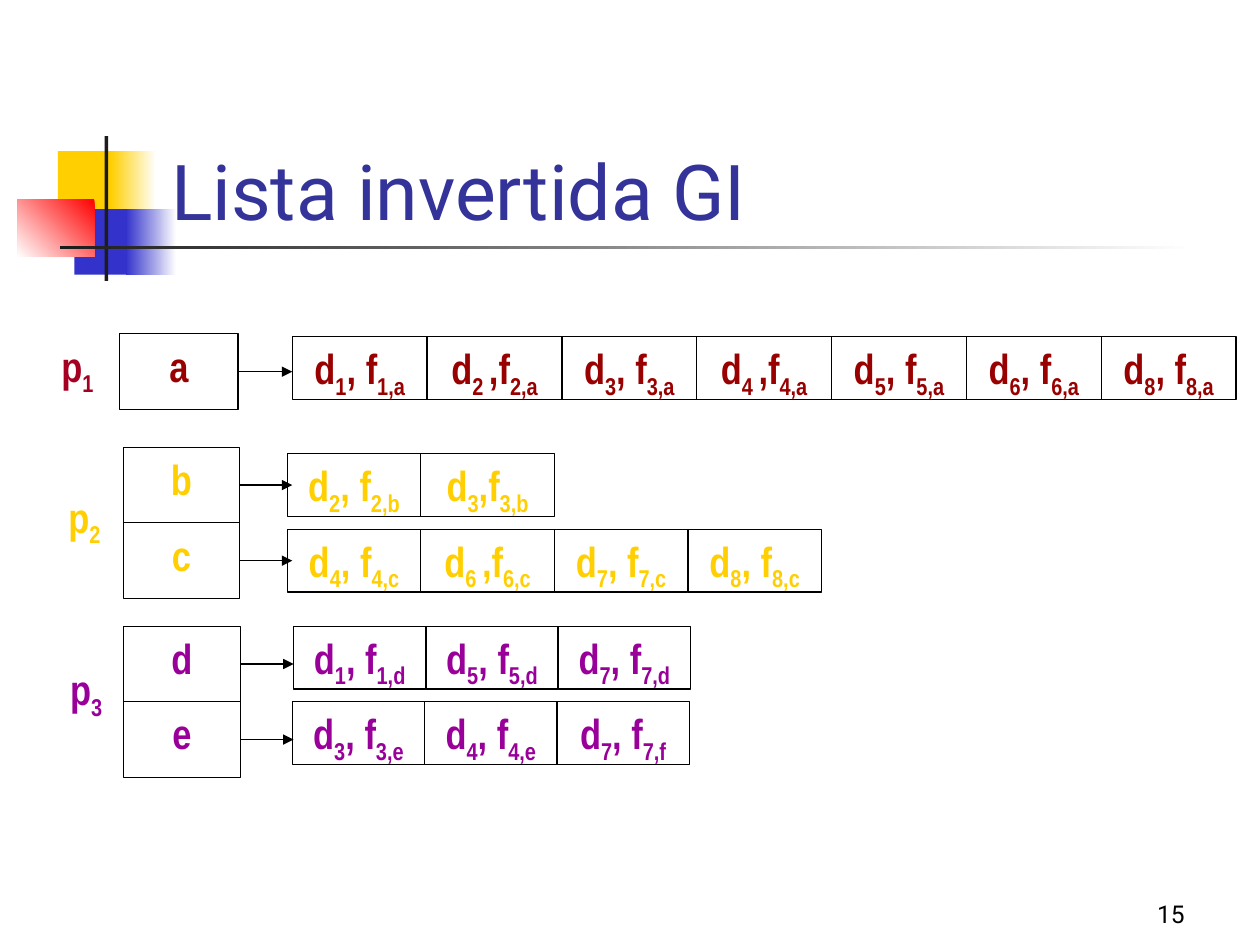
from pptx import Presentation
from pptx import util as u
from pptx.dml.color import RGBColor
from pptx.enum import shapes, text
from pptx.oxml.ns import qn
from lxml import etree

PX = 9144  # 100 px to the inch
COLORS = {
    "white": "FFFFFF", "black": "000000", "ink": "1C1C1C", "title": "333399",
    "gold": "FFCF01", "blue": "3333CC", "red": "FF0000",
    "crimson": "A50021", "maroon": "990000", "purple": "990099",
}
KEY_HEIGHT, CELL_HEIGHT = 60, 50

# Label: text, colour, left, top; keys: left, top, width; cells: width
# Rows: key, left and top of the cells, entries ("|" toggles subscript)
GROUPS = [
    {"label": ("p|1", "crimson", 33, 265, 57), "color": "maroon",
     "keys": (95, 265, 94), "cell_width": 107, "arrow_end": 232,
     "rows": [("a", 232, 267, ["d|1|, f|1,a", "d|2 |,f|2,a", "d|3|, f|3,a", "d|4 |,f|4,a",
                               "d|5|, f|5,a", "d|6|, f|6,a", "d|8|, f|8,a"])]},
    {"label": ("p|2", "gold", 40, 385, 54), "color": "gold",
     "keys": (98, 355, 92), "cell_width": 106, "arrow_end": 232,
     "rows": [("b", 228, 360, ["d|2|, f|2,b", "d|3|,f|3,b"]),
              ("c", 228, 420, ["d|4|, f|4,c", "d|6 |,f|6,c", "d|7|, f|7,c", "d|8|, f|8,c"])]},
    {"label": ("p|3", "purple", 40, 522, 57), "color": "purple",
     "keys": (98, 497, 93), "cell_width": 105, "arrow_end": 233,
     "rows": [("d", 233, 497, ["d|1|, f|1,d", "d|5|, f|5,d", "d|7|, f|7,d"]),
              ("e", 232, 557, ["d|3|, f|3,e", "d|4|, f|4,e", "d|7|, f|7,f"])]},
]


def rgb(name):
    return RGBColor.from_string(COLORS[name])


def emu(*lengths):
    return [length * PX for length in lengths]


def add_rect(slide, box, fill=None, fade=None, angle=180, line=None):
    """Plain rectangle; with fade, the fill runs from fill to fade."""
    rect = slide.shapes.add_shape(shapes.MSO_SHAPE.RECTANGLE, *emu(*box))
    rect.shadow.inherit = False
    if fade:
        rect.fill.gradient()
        rect.fill.gradient_angle = angle
        for stop, name in zip(rect.fill.gradient_stops, (fill, fade)):
            stop.color.rgb = rgb(name)
    elif fill:
        rect.fill.solid()
        rect.fill.fore_color.rgb = rgb(fill)
    else:
        rect.fill.background()
    if line:
        rect.line.color.rgb = rgb(line)
        rect.line.width = u.Pt(0.75)
    else:
        rect.line.fill.background()
    return rect


def write(shape, marked, color, size=24, font="Arial Narrow", bold=True,
          align=text.PP_ALIGN.CENTER, anchor=text.MSO_ANCHOR.TOP):
    """Fill a shape with text; every second part between bars is subscript."""
    frame = shape.text_frame
    frame.word_wrap = True
    frame.vertical_anchor = anchor
    para = frame.paragraphs[0]
    para.alignment = align
    for index, part in enumerate(marked.split("|")):
        span = para.add_run()
        span.text = part
        span.font.size = u.Pt(size)
        span.font.name = font
        span.font.bold = bold
        span.font.color.rgb = rgb(color)
        if index % 2:
            span.font._element.set("baseline", "-25000")


def add_arrow(slide, key_box, end_x, y):
    """Arrow from the right side of a key to its list."""
    arrow = slide.shapes.add_connector(
        shapes.MSO_CONNECTOR.STRAIGHT, *emu(end_x, y, end_x, y))
    arrow.begin_connect(key_box, 3)
    arrow.line.color.rgb = rgb("black")
    arrow.line.width = u.Pt(0.75)
    etree.SubElement(arrow.line._get_or_add_ln(), qn("a:tailEnd"), type="triangle")
    etree.SubElement(arrow._element.spPr, qn("a:effectLst"))


def add_ornament(slide, left, top):
    """Coloured squares crossed by a vertical bar and a fading rule."""
    for x, y, width, height, fill, fade, angle in [
        (32, 12, 48, 52, "gold", None, 0),
        (74, 12, 36, 52, "white", "gold", 180),
        (45, 58, 46, 52, "blue", None, 0),
        (86, 58, 40, 52, "white", "blue", 180),
        (0, 50, 61, 46, "red", "white", 225),
        (69, 0, 3, 115, "ink", None, 0),
        (34, 87, 900, 3, "white", "ink", 180),
    ]:
        add_rect(slide, (left + x, top + y, width, height), fill, fade, angle)


def add_caption(slide, box, words, color, size, align):
    caption = slide.shapes.add_textbox(*emu(*box))
    write(caption, words, color, size, "Roboto", False, align, text.MSO_ANCHOR.BOTTOM)


def add_group(slide, group):
    """Label, stacked keys and the list that each key points to."""
    words, color, left, top, width = group["label"]
    write(add_rect(slide, (left, top, width, KEY_HEIGHT), "white"), words, color)

    key_left, key_top, key_width = group["keys"]
    cell_width = group["cell_width"]
    for index, (key, cell_left, cell_top, entries) in enumerate(group["rows"]):
        y = key_top + index * KEY_HEIGHT
        key_box = add_rect(slide, (key_left, y, key_width, KEY_HEIGHT), line="black")
        write(key_box, key, group["color"])
        add_arrow(slide, key_box, group["arrow_end"], y + KEY_HEIGHT // 2)
        for column, entry in enumerate(entries):
            box = (cell_left + column * cell_width, cell_top, cell_width, CELL_HEIGHT)
            write(add_rect(slide, box, line="black"), entry, group["color"])


def main():
    deck = Presentation()
    deck.slide_width, deck.slide_height = emu(1000, 750)
    slide = deck.slides.add_slide(deck.slide_layouts[6])
    add_ornament(slide, 14, 108)
    add_caption(slide, (126, 67, 852, 125), "Lista invertida GI", "title", 44,
                text.PP_ALIGN.LEFT)
    for group in GROUPS:
        add_group(slide, group)
    add_caption(slide, (742, 692, 208, 50), "15", "black", 14, text.PP_ALIGN.RIGHT)
    deck.save("out.pptx")


if __name__ == "__main__":
    main()
